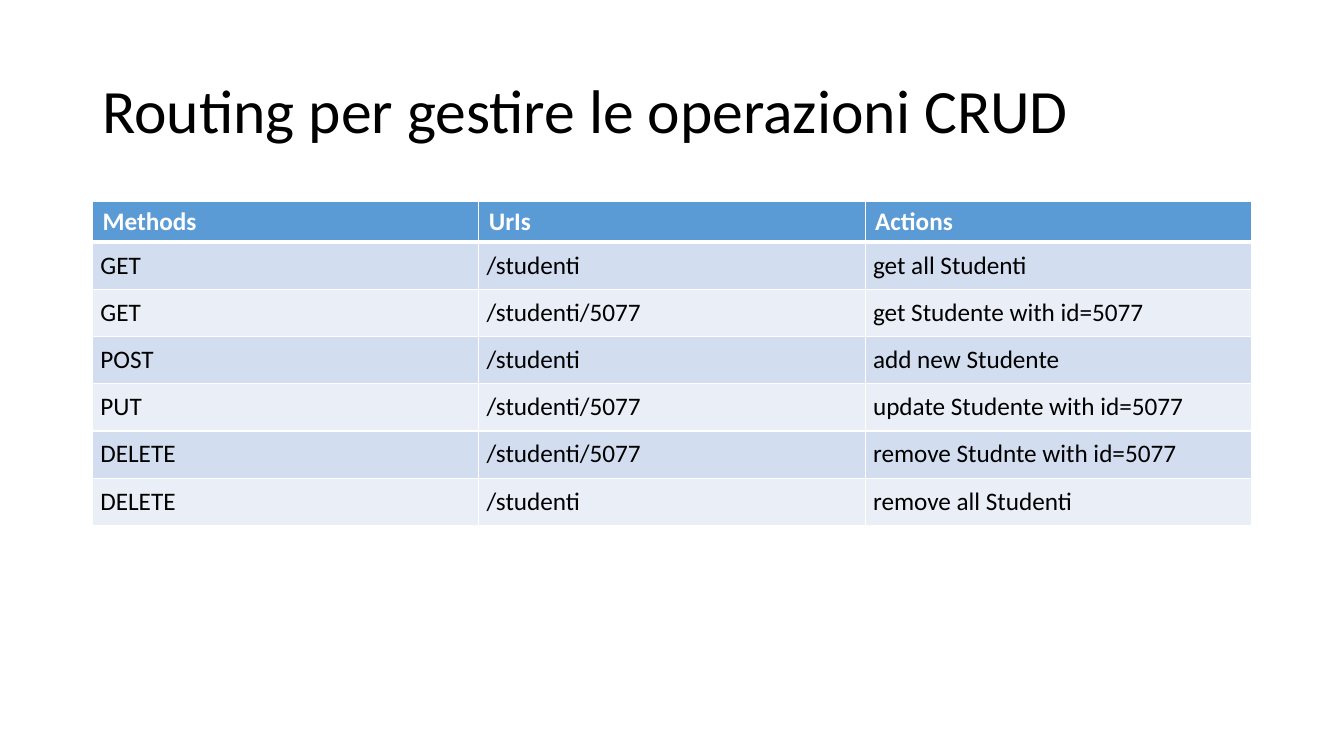
"""Build a slide that lists the CRUD routes in a table."""
import lxml.etree
import pptx
import pptx.dml.color
import pptx.enum.text
import pptx.oxml.ns
import pptx.util

Cm = pptx.util.Cm
Pt = pptx.util.Pt
RGBColor = pptx.dml.color.RGBColor

BLACK = RGBColor(0x00, 0x00, 0x00)
WHITE = RGBColor(0xFF, 0xFF, 0xFF)
HEADER_BLUE = RGBColor(0x5B, 0x9B, 0xD5)
BAND_COLOURS = (RGBColor(0xEA, 0xEF, 0xF7), RGBColor(0xD2, 0xDE, 0xEF))

FONT = "Calibri"
LEFT = Cm(2.33)
WIDTH = Cm(29.21)
HEADER_HEIGHT = Cm(1.02)
ROUTE_HEIGHT = Cm(1.19)
ROUTE_MARGIN = Cm(0.2)

ROUTES = (
    ("Methods", "UrIs", "Actions"),
    ("GET", "/studenti", "get all Studenti"),
    ("GET", "/studenti/5077", "get Studente with id=5077"),
    ("POST", "/studenti", "add new Studente"),
    ("PUT", "/studenti/5077", "update Studente with id=5077"),
    ("DELETE", "/studenti/5077", "remove Studnte with id=5077"),
    ("DELETE", "/studenti", "remove all Studenti"),
)


def add_span(para, text, size, colour, bold=False):
    """Add one formatted run to a paragraph."""
    span = para.add_run()
    span.text = text
    span.font.name = FONT
    span.font.size = Pt(size)
    span.font.bold = bold
    span.font.color.rgb = colour


def add_title(page, text):
    """Add the slide title, centred vertically in its box."""
    box = page.shapes.add_textbox(LEFT, Cm(1.01), WIDTH, Cm(3.68))
    frame = box.text_frame
    frame.word_wrap = True
    frame.vertical_anchor = pptx.enum.text.MSO_ANCHOR.MIDDLE
    para = frame.paragraphs[0]
    para.line_spacing = 0.9
    add_span(para, text, 44, BLACK)


def add_border(cell, side, width):
    """Draw a white line along one side of a cell."""
    qn = pptx.oxml.ns.qn
    properties = cell._tc.get_or_add_tcPr()
    line = lxml.etree.SubElement(properties, qn(f"a:ln{side}"), w=str(Pt(width)))
    fill = lxml.etree.SubElement(line, qn("a:solidFill"))
    lxml.etree.SubElement(fill, qn("a:srgbClr"), val=str(WHITE))


def fill_cell(cell, text, row_index):
    """Write and style a cell according to its row."""
    is_header = row_index == 0
    widths = {
        "L": 1,
        "R": 1,
        "T": 3 if row_index == 1 else 1,
        "B": 3 if is_header else 1,
    }
    for side, width in widths.items():
        add_border(cell, side, width)
    cell.fill.solid()
    cell.fill.fore_color.rgb = HEADER_BLUE if is_header else BAND_COLOURS[row_index % 2]
    if not is_header:
        cell.margin_left = cell.margin_right = ROUTE_MARGIN
        cell.margin_top = cell.margin_bottom = ROUTE_MARGIN
    para = cell.text_frame.paragraphs[0]
    add_span(para, text, 18, WHITE if is_header else BLACK, is_header)


def add_route_table(page, routes):
    """Add the table of routes with equal columns."""
    height = HEADER_HEIGHT + ROUTE_HEIGHT * (len(routes) - 1)
    table = page.shapes.add_table(
        len(routes), len(routes[0]), LEFT, Cm(5.08), WIDTH, height
    ).table
    for row_index, route in enumerate(routes):
        table.rows[row_index].height = ROUTE_HEIGHT if row_index else HEADER_HEIGHT
        for column_index, text in enumerate(route):
            fill_cell(table.cell(row_index, column_index), text, row_index)


def main():
    """Create the deck and save it."""
    deck = pptx.Presentation()
    deck.slide_width = Cm(33.87)
    deck.slide_height = Cm(19.05)
    page = deck.slides.add_slide(deck.slide_layouts[6])
    add_title(page, "Routing per gestire le operazioni CRUD")
    add_route_table(page, ROUTES)
    deck.save("out.pptx")


if __name__ == "__main__":
    main()
